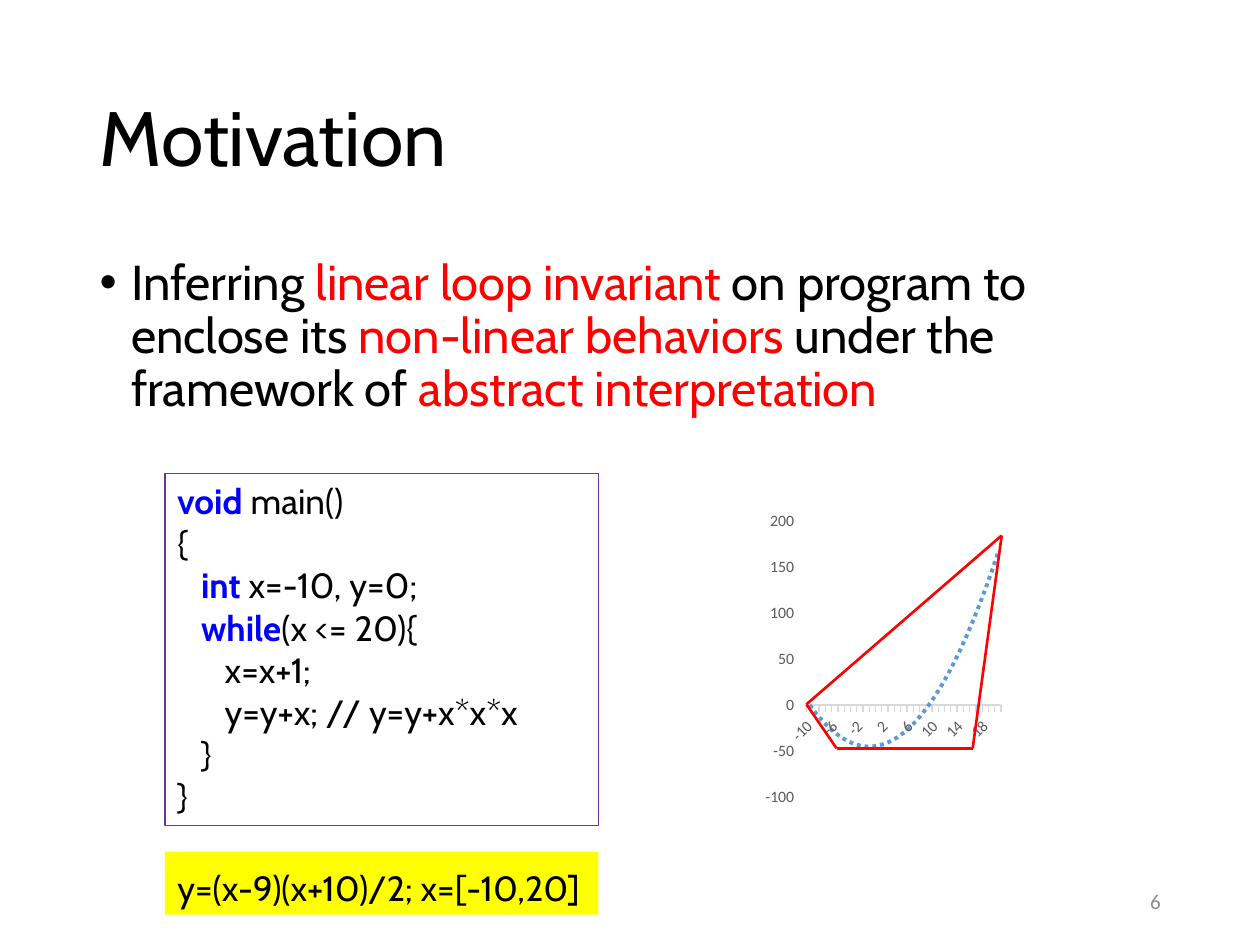
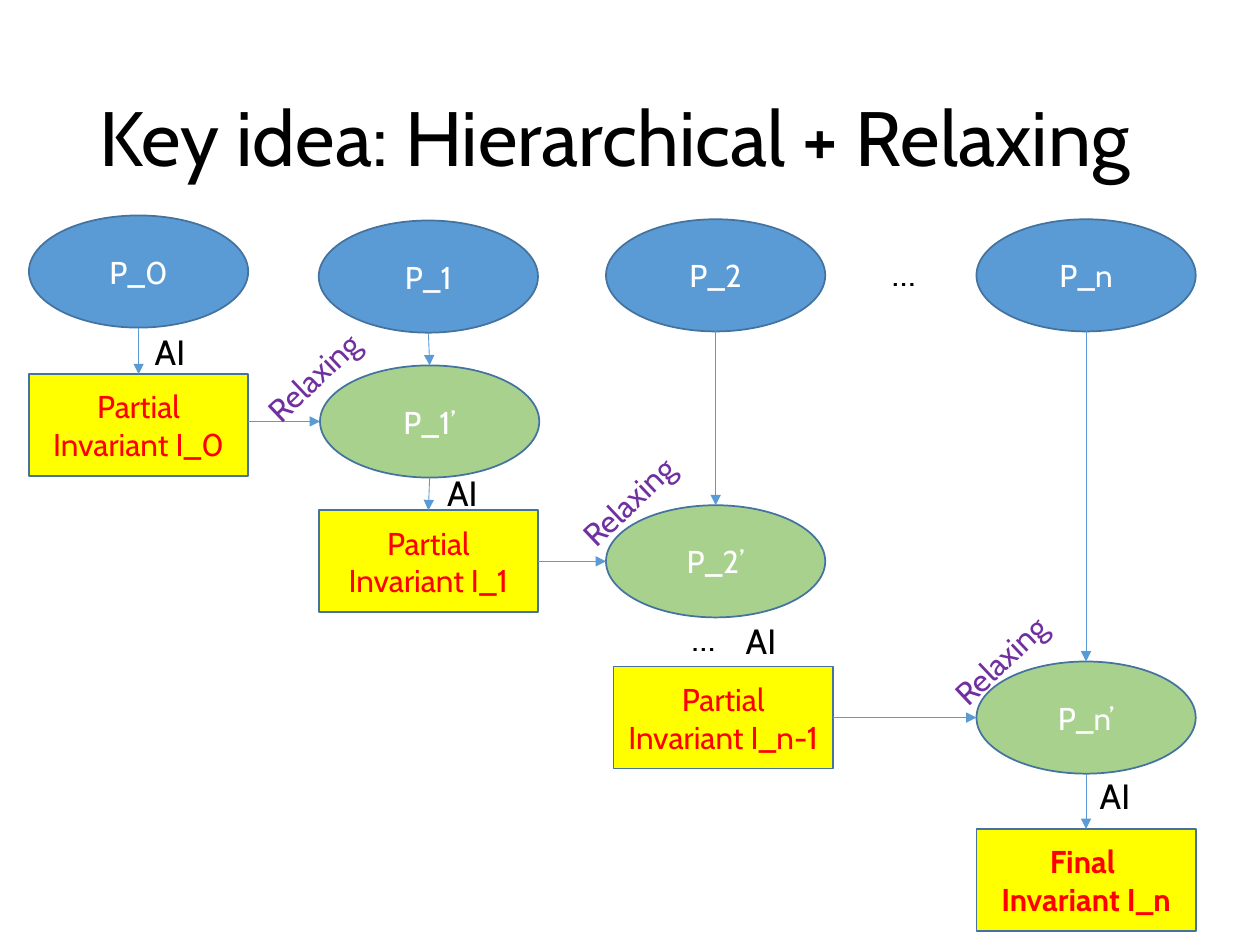
from itertools import pairwise

from lxml.etree import SubElement
from pptx import Presentation
from pptx.chart.data import CategoryChartData
from pptx.dml.color import RGBColor
from pptx.enum.chart import XL_CHART_TYPE, XL_TICK_MARK
from pptx.enum.dml import MSO_LINE
from pptx.enum.shapes import MSO_CONNECTOR, MSO_SHAPE
from pptx.enum.text import MSO_ANCHOR, MSO_AUTO_SIZE, PP_ALIGN
from pptx.oxml import parse_xml
from pptx.oxml.ns import nsdecls, qn
from pptx.util import Inches, Pt

# Shared style
BLACK = RGBColor(0x00, 0x00, 0x00)
WHITE = RGBColor(0xFF, 0xFF, 0xFF)
RED = RGBColor(0xFF, 0x00, 0x00)
YELLOW = RGBColor(0xFF, 0xFF, 0x00)
PURPLE = RGBColor(0x70, 0x30, 0xA0)
KEYWORD_BLUE = RGBColor(0x00, 0x00, 0xFF)
BLUE = RGBColor(0x5B, 0x9B, 0xD5)
EDGE_BLUE = RGBColor(0x43, 0x73, 0x9E)
GREEN = RGBColor(0xA9, 0xD1, 0x8E)
AXIS_GREY = RGBColor(0xD9, 0xD9, 0xD9)
LABEL_GREY = RGBColor(0x59, 0x59, 0x59)
NUMBER_GREY = RGBColor(0x8C, 0x8C, 0x8C)
FONT, CHART_FONT = "Cabin", "Calibri"
TITLE_BOX = (0.69, 0.4, 8.62, 1.45)
TITLE_AND_BODY, TITLE_ONLY = 1, 5

# Slide 1 content: marked runs are (text, True)
MOTIVATION = [
    ("Inferring ", False), ("linear loop invariant", True),
    (" on program to enclose its ", False), ("non-linear behaviors", True),
    (" under the framework of ", False), ("abstract interpretation", True),
]
CODE = [
    [("void", True), (" main()", False)],
    [("{", False)],
    [("   ", False), ("int", True), (" x=-10, y=0;", False)],
    [("   ", False), ("while", True), ("(x <= 20){", False)],
    [("      x=x+1;", False)],
    [("      y=y+x; // y=y+x*x*x", False)],
    [("   }", False)],
    [("}", False)],
]
FORMULA = "y=(x-9)(x+10)/2; x=[-10,20]"
CURVE = {x: (x - 9) * (x + 10) // 2 for x in range(-10, 21)}
HULL = [(6.4, 5.59), (7.95, 4.25), (7.72, 5.94), (6.64, 5.94)]
PAGE_NUMBER = "6"

# Slide 2 content: text -> (left, top)
NODE_WIDTH, OVAL_HEIGHT, BOX_HEIGHT = 1.74, 0.89, 0.81
PROGRAMS = {"P_0": (0.23, 1.71), "P_1": (2.53, 1.75),
            "P_2": (4.81, 1.74), "P_n": (7.75, 1.74)}
RELAXED = {"P_1’": (2.54, 2.9), "P_2’": (4.81, 4.01), "P_n’": (7.75, 5.25)}
INVARIANTS = {"Partial Invariant I_0": (0.23, 2.97),
              "Partial Invariant I_1": (2.53, 4.05),
              "Partial Invariant I_n-1": (4.87, 5.29)}
FINAL = "Final \nInvariant I_n"
FINAL_AT = (7.75, 6.58)
DOWN = [("P_0", "Partial Invariant I_0"), ("P_1", "P_1’"),
        ("P_1’", "Partial Invariant I_1"), ("P_2", "P_2’"),
        ("P_n", "P_n’"), ("P_n’", FINAL)]
ACROSS = list(zip(INVARIANTS, RELAXED))
LABELS = [("…", 6.98, 1.95), ("…", 5.39, 4.84), ("AI", 1.13, 2.57),
          ("AI", 3.45, 3.69), ("AI", 5.82, 4.87), ("AI", 8.63, 6.1)]
RELAXING_AT = [(1.93, 2.75), (4.43, 3.74), (7.38, 5)]


def inches(box):
    return [Inches(value) for value in box]


def style(font, size, color, bold=False, name=FONT):
    font.size, font.name, font.bold = Pt(size), name, bold
    font.color.rgb = color


def style_text(frame, size, color, align=PP_ALIGN.LEFT, **options):
    for paragraph in frame.paragraphs:
        paragraph.alignment = align
        for run in paragraph.runs:
            style(run.font, size, color, **options)


def add_runs(paragraph, runs, size, mark_color, mark_bold=False):
    for text, marked in runs:
        run = paragraph.add_run()
        run.text = text
        style(run.font, size, mark_color if marked else BLACK,
              marked and mark_bold)


def place(shape, box):
    shape.left, shape.top, shape.width, shape.height = inches(box)


def add_titled_slide(deck, title, layout):
    slide = deck.slides.add_slide(deck.slide_layouts[layout])
    heading = slide.shapes.title
    place(heading, TITLE_BOX)
    frame = heading.text_frame
    frame.text = title
    frame.auto_size = MSO_AUTO_SIZE.NONE
    frame.vertical_anchor = MSO_ANCHOR.MIDDLE
    frame.paragraphs[0].line_spacing = 0.9
    style_text(frame, 44, BLACK)
    return slide


def add_panel(slide, kind, box, fill=None, edge=None, weight=1):
    panel = slide.shapes.add_shape(kind, *inches(box))
    panel.shadow.inherit = False
    if fill is None:
        panel.fill.background()
    else:
        panel.fill.solid()
        panel.fill.fore_color.rgb = fill
    if edge is None:
        panel.line.fill.background()
    else:
        panel.line.color.rgb = edge
        panel.line.width = Pt(weight)
    return panel


def add_label(slide, text, box, size, color, **options):
    label = slide.shapes.add_textbox(*inches(box))
    label.text_frame.word_wrap = True
    label.text_frame.text = text
    style_text(label.text_frame, size, color, **options)
    return label


def add_line(slide, start, end, color, weight, arrow=False):
    line = slide.shapes.add_connector(
        MSO_CONNECTOR.STRAIGHT, *inches(start + end))
    line.line.color.rgb = color
    line.line.width = Pt(weight)
    properties = line._element.spPr
    if arrow:
        SubElement(properties.find(qn("a:ln")), qn("a:tailEnd"), type="triangle")
    SubElement(properties, qn("a:effectLst"))


def add_curve(slide):
    data = CategoryChartData()
    data.categories = [str(x) for x in CURVE]
    data.add_series("Series 1", CURVE.values())
    chart = slide.shapes.add_chart(
        XL_CHART_TYPE.LINE, *inches((5.9, 3.65, 2.19, 3.11)), data).chart
    chart.has_legend = chart.has_title = False
    style(chart.font, 10, BLACK, name=CHART_FONT)

    plot = chart.plots[0]
    plot.vary_by_categories = False
    curve = plot.series[0]
    curve.smooth = False
    curve.format.line.color.rgb = BLUE
    curve.format.line.width = Pt(2.25)
    curve.format.line.dash_style = MSO_LINE.ROUND_DOT

    for axis in (chart.category_axis, chart.value_axis):
        axis.has_major_gridlines = False
        axis.major_tick_mark = XL_TICK_MARK.OUTSIDE
        axis.minor_tick_mark = XL_TICK_MARK.NONE
        style(axis.tick_labels.font, 9, LABEL_GREY, name=CHART_FONT)
    values, steps = chart.value_axis, chart.category_axis
    values.minimum_scale, values.maximum_scale = -100, 200
    values.major_unit = 50
    values.format.line.fill.background()
    steps.format.line.color.rgb = AXIS_GREY
    steps.format.line.width = Pt(0.75)

    # Slanted labels on every fourth step
    steps_xml = steps._element
    steps_xml.find(qn("c:txPr")).find(qn("a:bodyPr")).set("rot", "-2700000")
    skip = parse_xml(f'<c:tickLblSkip {nsdecls("c")} val="4"/>')
    steps_xml.find(qn("c:noMultiLvlLbl")).addprevious(skip)

    # Fixed inner plot area
    area = chart._chartSpace.chart.plotArea
    for old in area.findall(qn("c:layout")):
        area.remove(old)
    shares = {"x": 0.229, "y": 0.156, "w": 0.705, "h": 0.705}
    modes = '<c:xMode val="edge"/><c:yMode val="edge"/>'
    sizes = "".join(f'<c:{key} val="{share}"/>' for key, share in shares.items())
    area.insert(0, parse_xml(
        f'<c:layout {nsdecls("c")}><c:manualLayout>'
        f'<c:layoutTarget val="inner"/>{modes}{sizes}'
        '</c:manualLayout></c:layout>'))


def build_motivation(deck):
    slide = add_titled_slide(deck, "Motivation", TITLE_AND_BODY)

    # Bulleted statement
    body = slide.placeholders[1]
    place(body, (0.69, 2, 8.62, 4.76))
    body.text_frame.auto_size = MSO_AUTO_SIZE.NONE
    statement = body.text_frame.paragraphs[0]
    statement.line_spacing, statement.space_before = 0.9, Pt(0)
    properties = statement._p.get_or_add_pPr()
    properties.set("marL", str(Inches(0.25)))
    properties.set("indent", str(Inches(-0.25)))
    SubElement(properties, qn("a:buFont"), typeface="Arial")
    SubElement(properties, qn("a:buChar"), char="•")
    add_runs(statement, MOTIVATION, 28, RED)

    # Program listing
    listing = add_panel(slide, MSO_SHAPE.RECTANGLE, (1.31, 3.76, 3.44, 2.79),
                        edge=PURPLE, weight=0.75).text_frame
    listing.vertical_anchor = MSO_ANCHOR.TOP
    for number, runs in enumerate(CODE):
        line = listing.add_paragraph() if number else listing.paragraphs[0]
        line.alignment = PP_ALIGN.LEFT
        add_runs(line, runs, 20, KEYWORD_BLUE, mark_bold=True)

    # Curve and its enclosing polygon
    add_curve(slide)
    for start, end in pairwise(HULL + HULL[:1]):
        add_line(slide, start, end, RED, 1.5)

    number = add_label(slide, PAGE_NUMBER, (7.06, 6.95, 2.25, 0.4), 12,
                       NUMBER_GREY, align=PP_ALIGN.RIGHT, name=CHART_FONT)
    number.text_frame.vertical_anchor = MSO_ANCHOR.MIDDLE

    formula = add_panel(slide, MSO_SHAPE.RECTANGLE, (1.31, 6.76, 3.44, 0.5),
                        fill=YELLOW).text_frame
    formula.text = FORMULA
    formula.vertical_anchor = MSO_ANCHOR.TOP
    formula.paragraphs[0].line_spacing = 1.2
    style_text(formula, 20, BLACK)


def build_key_idea(deck):
    slide = add_titled_slide(deck, "Key idea: Hierarchical + Relaxing", TITLE_ONLY)
    oval, rectangle = MSO_SHAPE.OVAL, MSO_SHAPE.RECTANGLE
    groups = [
        (PROGRAMS, oval, OVAL_HEIGHT, BLUE, WHITE, False),
        (RELAXED, oval, OVAL_HEIGHT, GREEN, WHITE, False),
        (INVARIANTS, rectangle, BOX_HEIGHT, YELLOW, RED, False),
        ({FINAL: FINAL_AT}, rectangle, BOX_HEIGHT, YELLOW, RED, True),
    ]

    # Programs and invariants
    boxes = {}
    for nodes, kind, height, fill, color, bold in groups:
        for text, (left, top) in nodes.items():
            boxes[text] = (left, top, NODE_WIDTH, height)
            frame = add_panel(slide, kind, boxes[text], fill, EDGE_BLUE).text_frame
            frame.text = text
            frame.vertical_anchor = MSO_ANCHOR.MIDDLE
            style_text(frame, 18, color, PP_ALIGN.CENTER, bold=bold)

    # Arrows down from bottom to top, and across at the target's middle
    for source, target in DOWN:
        left, top, width, height = boxes[source]
        end_left, end_top, end_width, _ = boxes[target]
        add_line(slide, (left + width / 2, top + height),
                 (end_left + end_width / 2, end_top), BLUE, 0.5, arrow=True)
    for source, target in ACROSS:
        left, _, width, _ = boxes[source]
        end_left, end_top, _, end_height = boxes[target]
        middle = end_top + end_height / 2
        add_line(slide, (left + width, middle), (end_left, middle),
                 BLUE, 0.5, arrow=True)

    # Step labels
    for text, left, top in LABELS:
        add_label(slide, text, (left, top, 0.9, 0.44), 20, BLACK)
    for left, top in RELAXING_AT:
        relaxing = add_label(slide, "Relaxing", (left, top, 1.2, 0.4), 18, PURPLE)
        relaxing.rotation = 316.6


def main():
    deck = Presentation()
    deck.slide_width, deck.slide_height = Inches(10), Inches(7.5)
    build_motivation(deck)
    build_key_idea(deck)
    deck.save("out.pptx")


if __name__ == "__main__":
    main()
